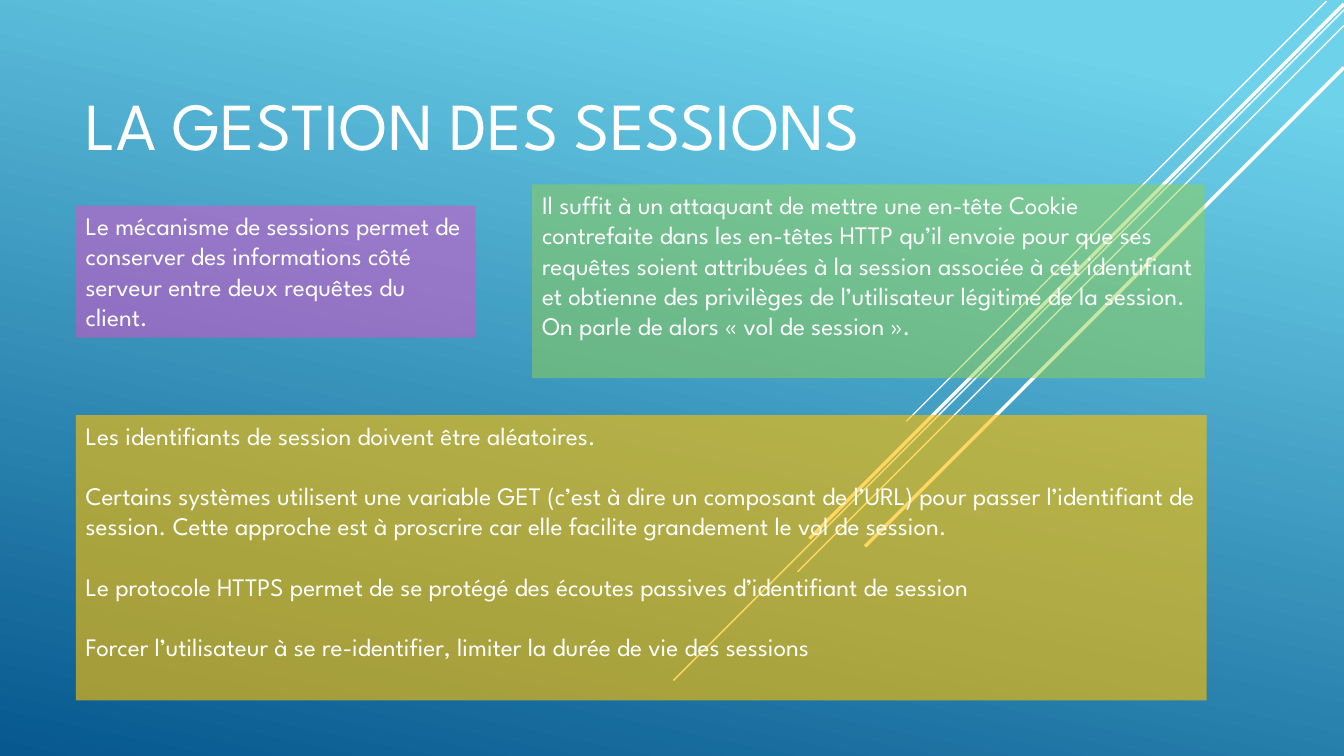
from lxml.etree import SubElement
from pptx import Presentation
from pptx.dml.color import RGBColor
from pptx.enum.shapes import MSO_CONNECTOR as Link, MSO_SHAPE as Shape
from pptx.enum.text import MSO_ANCHOR as Anchor, PP_ALIGN as Align
from pptx.oxml.ns import qn
from pptx.util import Cm, Pt

# Content
FONT = "League Spartan"
WHITE = "FFFFFF"
LEFT = 1.91
TITLE = "LA GESTION DES SESSIONS"
STOPS = [(0.1, "6ED2EB"), (1, "06588E")]

# Diagonal rays: right end x, top y, drop (cm), width (pt)
RAYS = [
    (33.43, 0.03, 10.59, 1),
    (33.87, 0.25, 16.9, 1),
    (33.87, 0.64, 13.77, 1),
    (33.87, 0.1, 13.47, 2.5),
    (33.87, 1.7, 12.07, 2.5),
]

# Panels: place (cm), fill, opacity (%), paragraphs
PANELS = [
    ((LEFT, 10.46, 28.5, 7.19), "FFC000", 62, [
        "Les identifiants de session doivent être aléatoires.",
        "Certains systèmes utilisent une variable GET (c’est à dire un "
        "composant de l’URL) pour passer l’identifiant de session. Cette "
        "approche est à proscrire car elle facilite grandement le vol de "
        "session.",
        "Le protocole HTTPS permet de se protégé des écoutes passives "
        "d’identifiant de session",
        "Forcer l’utilisateur à se re-identifier, limiter la durée de vie "
        "des sessions",
    ]),
    ((LEFT, 5.18, 10.08, 3.33), "EF48C9", 48, [
        "Le mécanisme de sessions permet de conserver des informations côté "
        "serveur entre deux requêtes du client.",
    ]),
    ((13.41, 4.65, 16.95, 4.88), "92D050", 51, [
        "Il suffit à un attaquant de mettre une en-tête Cookie contrefaite "
        "dans les en-têtes HTTP qu’il envoie pour que ses requêtes soient "
        "attribuées à la session associée à cet identifiant et obtienne des "
        "privilèges de l’utilisateur légitime de la session. On parle de "
        "alors « vol de session ».",
    ]),
]


def tint(code):
    return RGBColor.from_string(code)


def write(shape, lines, size, anchor, gap=0):
    frame = shape.text_frame
    frame.word_wrap = True
    frame.vertical_anchor = anchor
    for i, line in enumerate(lines):
        para = frame.add_paragraph() if i else frame.paragraphs[0]
        para.alignment = Align.LEFT
        para.space_before = Pt(gap if i else 0)
        run = para.add_run()
        run.text = line
        for key, val in {"name": FONT, "size": Pt(size)}.items():
            setattr(run.font, key, val)
        run.font.color.rgb = tint(WHITE)


def main():
    deck = Presentation()
    deck.slide_width, deck.slide_height = Cm(33.87), Cm(19.05)
    slide = deck.slides.add_slide(deck.slide_layouts[6])

    # Background
    back = slide.background.fill
    back.gradient()
    back.gradient_angle = 258
    for stop, (pos, code) in zip(back.gradient_stops, STOPS):
        stop.position = pos
        stop.color.rgb = tint(code)

    # Rays at 45 degrees
    for x, y, drop, width in RAYS:
        ends = [Cm(v) for v in (x, y, x - drop, y + drop)]
        ray = slide.shapes.add_connector(Link.STRAIGHT, *ends)
        ray.line.color.rgb = tint(WHITE)
        ray.line.width = Pt(width)
        SubElement(ray._element.spPr, qn("a:effectLst"))

    # Title
    head = slide.shapes.add_textbox(Cm(LEFT), Cm(1.91), Cm(29.46), Cm(2.34))
    write(head, [TITLE], 48, Anchor.BOTTOM)

    # Panels
    for place, code, alpha, lines in PANELS:
        box = slide.shapes.add_shape(Shape.RECTANGLE, *map(Cm, place))
        box.shadow.inherit = False
        box.line.fill.background()
        box.fill.solid()
        box.fill.fore_color.rgb = tint(code)
        color = box._element.spPr.find(".//" + qn("a:srgbClr"))
        SubElement(color, qn("a:alpha"), val=str(alpha * 1000))
        write(box, lines, 18, Anchor.TOP, gap=21.6)

    deck.save("out.pptx")


if __name__ == "__main__":
    main()
